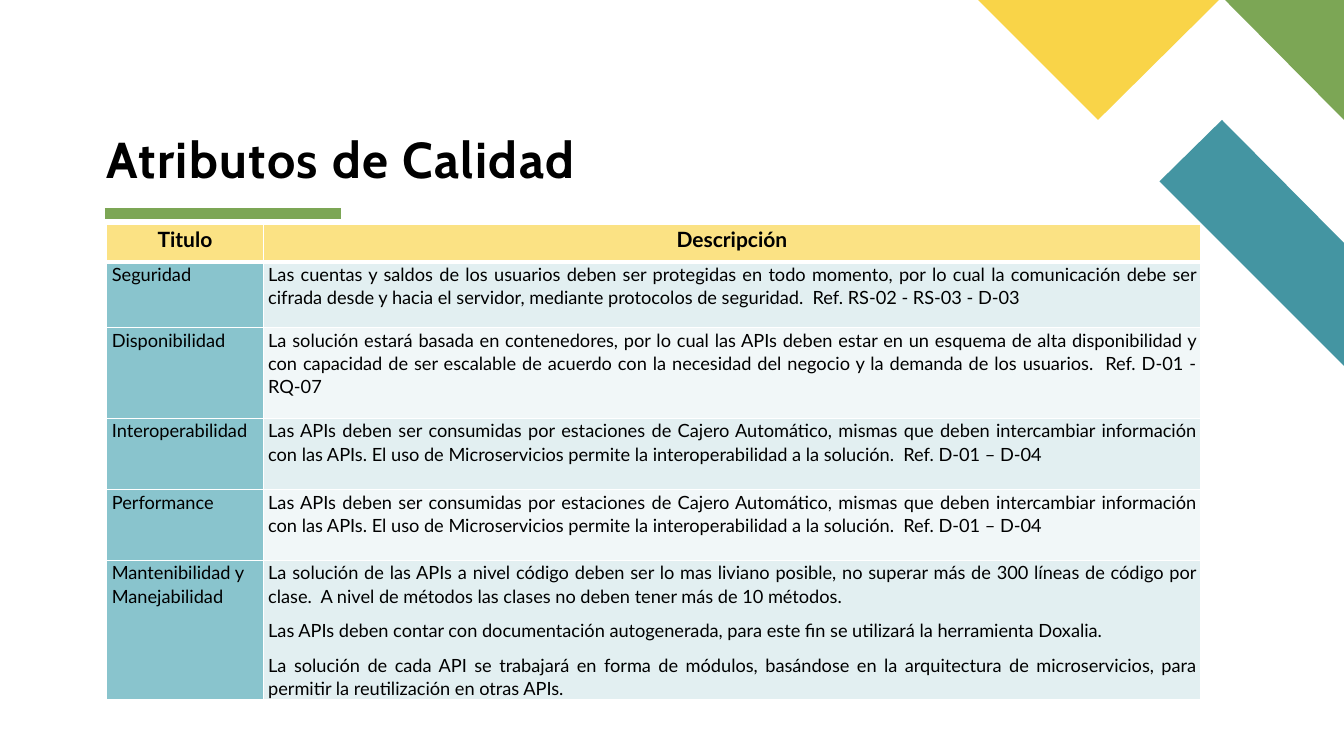
import dataclasses
import typing

import lxml.etree
import pptx
import pptx.dml.color
import pptx.enum.shapes
import pptx.enum.text
import pptx.oxml.ns
import pptx.slide
import pptx.table
import pptx.text.text
import pptx.util

Inches = pptx.util.Inches
Align = pptx.enum.text.PP_ALIGN
Anchor = pptx.enum.text.MSO_ANCHOR

COLORS: dict[str, str] = {
    "black": "000000",
    "white": "FFFFFF",
    "green": "7CA655",
    "teal": "4495A2",
    "yellow": "F9D448",
    "header": "FBE284",
    "attribute": "89C4CD",
    "band_dark": "E2EFF1",
    "band_light": "F1F7F8",
}


@dataclasses.dataclass(frozen=True)
class Ornament:
    color: str
    points: tuple[tuple[float, float], ...]


@dataclasses.dataclass(frozen=True)
class Attribute:
    title: str
    description: tuple[str, ...]
    height: float


@dataclasses.dataclass(frozen=True)
class CellStyle:
    fill: str
    size: float
    alignment: Align
    bold: bool = False
    bottom_border: float = 1


ORNAMENTS = (
    Ornament("teal", ((13.33, 3.63), (13.33, 2.41), (12.12, 1.19), (11.5, 1.8))),
    Ornament("green", ((13.33, 1.19), (13.33, 0), (12.15, 0))),
    Ornament("yellow", ((9.7, 0), (10.89, 1.19), (12.09, 0))),
)

MICROSERVICES = (
    "Las APIs deben ser consumidas por estaciones de Cajero Automático, mismas que deben "
    "intercambiar información con las APIs. El uso de Microservicios permite la "
    "interoperabilidad a la solución.  Ref. D-01 – D-04"
)

ATTRIBUTES = (
    Attribute("Seguridad", (
        "Las cuentas y saldos de los usuarios deben ser protegidas en todo momento, por lo cual "
        "la comunicación debe ser cifrada desde y hacia el servidor, mediante protocolos de "
        "seguridad.  Ref. RS-02 - RS-03 - D-03",
    ), 0.65),
    Attribute("Disponibilidad", (
        "La solución estará basada en contenedores, por lo cual las APIs deben estar en un "
        "esquema de alta disponibilidad y con capacidad de ser escalable de acuerdo con la "
        "necesidad del negocio y la demanda de los usuarios.  Ref. D-01 - RQ-07",
    ), 0.9),
    Attribute("Interoperabilidad", (MICROSERVICES,), 0.71),
    Attribute("Performance", (MICROSERVICES,), 0.7),
    Attribute("Mantenibilidad y Manejabilidad", (
        "La solución de las APIs a nivel código deben ser lo mas liviano posible, no superar más "
        "de 300 líneas de código por clase.  A nivel de métodos las clases no deben tener más de "
        "10 métodos.",
        "Las APIs deben contar con documentación autogenerada, para este fin se utilizará la "
        "herramienta Doxalia.",
        "La solución de cada API se trabajará en forma de módulos, basándose en la arquitectura "
        "de microservicios, para permitir la reutilización en otras APIs.",
    ), 1.36),
)

COLUMN_WIDTHS = (1.55, 9.3)
HEADER_HEIGHT = 0.37


def rgb(name: str) -> pptx.dml.color.RGBColor:
    return pptx.dml.color.RGBColor.from_string(COLORS[name])


def add_run(paragraph: pptx.text.text._Paragraph, text: str, font: str, size: float,
            bold: bool) -> pptx.text.text._Run:
    run = paragraph.add_run()
    run.text = text
    run.font.name = font
    run.font.size = pptx.util.Pt(size)
    run.font.bold = bold
    run.font.color.rgb = rgb("black")
    return run


def draw_ornament(slide: pptx.slide.Slide, ornament: Ornament) -> None:
    corners = [(Inches(x), Inches(y)) for x, y in ornament.points]
    builder = slide.shapes.build_freeform(*corners[0])
    builder.add_line_segments(corners[1:], close=True)
    shape = builder.convert_to_shape()
    shape.shadow.inherit = False
    shape.fill.solid()
    shape.fill.fore_color.rgb = rgb(ornament.color)
    shape.line.fill.background()


def draw_title(slide: pptx.slide.Slide) -> None:
    rule = slide.shapes.add_connector(
        pptx.enum.shapes.MSO_CONNECTOR.STRAIGHT,
        Inches(1.04), Inches(2.12), Inches(3.38), Inches(2.12))
    rule.line.color.rgb = rgb("green")
    rule.line.width = pptx.util.Pt(8)
    lxml.etree.SubElement(rule._element.spPr, pptx.oxml.ns.qn("a:effectLst"))

    title = slide.shapes.add_textbox(Inches(1.06), Inches(0.96), Inches(8.19), Inches(0.92))
    frame = title.text_frame
    frame.word_wrap = True
    frame.vertical_anchor = Anchor.BOTTOM
    frame.margin_left = frame.margin_right = frame.margin_top = frame.margin_bottom = 0
    paragraph = frame.paragraphs[0]
    paragraph.line_spacing = 0.9
    run = add_run(paragraph, "Atributos de Calidad", "Cabin", 36, True)
    run._r.get_or_add_rPr().set("spc", "100")


def set_borders(cell: pptx.table._Cell, bottom: float) -> None:
    properties = cell._tc.get_or_add_tcPr()
    for side, width in (("L", 1), ("R", 1), ("T", 1), ("B", bottom)):
        border = lxml.etree.SubElement(
            properties, pptx.oxml.ns.qn(f"a:ln{side}"), w=str(pptx.util.Pt(width)))
        fill = lxml.etree.SubElement(border, pptx.oxml.ns.qn("a:solidFill"))
        lxml.etree.SubElement(fill, pptx.oxml.ns.qn("a:srgbClr"), val=COLORS["white"])


def fill_cell(cell: pptx.table._Cell, texts: typing.Sequence[str], style: CellStyle) -> None:
    set_borders(cell, style.bottom_border)
    cell.fill.solid()
    cell.fill.fore_color.rgb = rgb(style.fill)
    cell.margin_left = cell.margin_right = Inches(0.05)
    cell.margin_top = cell.margin_bottom = 0
    cell.vertical_anchor = Anchor.TOP
    frame = cell.text_frame
    for index, text in enumerate(texts):
        paragraph = frame.add_paragraph() if index else frame.paragraphs[0]
        paragraph.alignment = style.alignment
        paragraph.line_spacing = 1.07
        paragraph.space_after = pptx.util.Pt(8)
        add_run(paragraph, text, "Lato", style.size, style.bold)


def draw_table(slide: pptx.slide.Slide) -> None:
    heights = (HEADER_HEIGHT, *(attribute.height for attribute in ATTRIBUTES))
    table = slide.shapes.add_table(
        len(heights), len(COLUMN_WIDTHS), Inches(1.06), Inches(2.23),
        Inches(sum(COLUMN_WIDTHS)), Inches(sum(heights))).table
    for column, width in zip(table.columns, COLUMN_WIDTHS):
        column.width = Inches(width)
    for row, height in zip(table.rows, heights):
        row.height = Inches(height)

    header_style = CellStyle("header", 15, Align.CENTER, bold=True, bottom_border=3)
    for column_index, heading in enumerate(("Titulo", "Descripción")):
        fill_cell(table.cell(0, column_index), (heading,), header_style)

    for row_index, attribute in enumerate(ATTRIBUTES, start=1):
        band = "band_dark" if row_index % 2 else "band_light"
        fill_cell(table.cell(row_index, 0), (attribute.title,),
                  CellStyle("attribute", 13, Align.LEFT))
        fill_cell(table.cell(row_index, 1), attribute.description,
                  CellStyle(band, 13, Align.JUSTIFY))


def main() -> None:
    presentation = pptx.Presentation()
    presentation.slide_width = Inches(13.33)
    presentation.slide_height = Inches(7.5)
    slide = presentation.slides.add_slide(presentation.slide_layouts[6])
    for ornament in ORNAMENTS:
        draw_ornament(slide, ornament)
    draw_title(slide)
    draw_table(slide)
    presentation.save("out.pptx")


if __name__ == "__main__":
    main()
